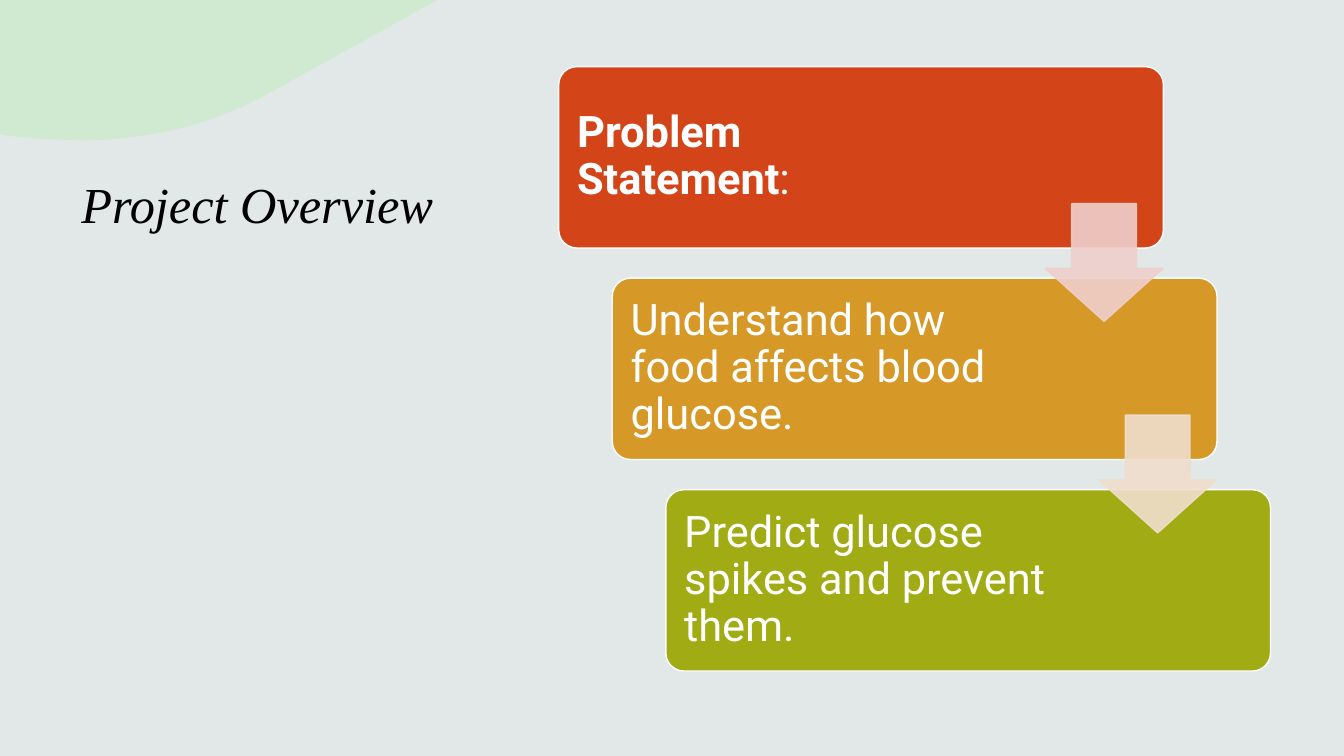
from dataclasses import dataclass

from lxml import etree
from pptx import Presentation
from pptx import util as u
from pptx.dml.color import RGBColor
from pptx.dml.fill import FillFormat
from pptx.enum import shapes, text
from pptx.oxml.ns import qn
from pptx.shapes.autoshape import Shape
from pptx.slide import Slide

BACKGROUND = RGBColor(0xE2, 0xE8, 0xE7)
LEAF = RGBColor(0x9E, 0xF3, 0x94)
RED = RGBColor(0xD3, 0x44, 0x19)
AMBER = RGBColor(0xD6, 0x99, 0x28)
OLIVE = RGBColor(0xA1, 0xAB, 0x14)
PALE_RED = RGBColor(0xEF, 0xCF, 0xCC)
PALE_AMBER = RGBColor(0xF0, 0xDE, 0xCD)
WHITE = RGBColor(0xFF, 0xFF, 0xFF)
BLACK = RGBColor(0, 0, 0)

STEP_X, STEP_Y = 1.35, 5.33
STAGE_LEFT, STAGE_TOP = 14.08, 1.68
STAGE_WIDTH, STAGE_HEIGHT = 15.24, 4.57
ARROW_LEFT, ARROW_TOP, ARROW_SIZE = 26.34, 5.13, 2.97
CURVE_STEPS = 24

Point = tuple[float, float]


@dataclass(frozen=True)
class Stage:
    bold: str
    plain: str
    fill: RGBColor
    right_inset: float


STAGES = [
    Stage("Problem Statement", ":", RED, 5.0),
    Stage("", "Understand how food affects blood glucose.", AMBER, 4.67),
    Stage("", "Predict glucose spikes and prevent them.", OLIVE, 4.67),
]
ARROW_COLOURS = [PALE_RED, PALE_AMBER]

LEAF_OUTLINE: list[Point] = [(0, 3.38), (0, 0), (11.05, 0), (10.97, 0.03)]
LEAF_CURVES: list[tuple[Point, Point, Point]] = [
    ((9.58, 0.81), (8.13, 1.6), (6.81, 2.34)),
    ((5.89, 2.84), (4.95, 3.18), (4.01, 3.35)),
    ((3.3, 3.48), (2.59, 3.56), (1.88, 3.53)),
    ((1.35, 3.53), (0.79, 3.48), (0.25, 3.43)),
]


def set_solid(fill: FillFormat, colour: RGBColor) -> None:
    fill.solid()
    fill.fore_color.rgb = colour


def set_opacity(shape: Shape, percent: int) -> None:
    for colour in shape._element.spPr.iter(qn("a:srgbClr")):
        etree.SubElement(colour, qn("a:alpha")).set("val", str(percent * 1000))


def curve_points(start: Point, first: Point, second: Point, end: Point) -> list[Point]:
    points = []
    for step in range(1, CURVE_STEPS + 1):
        t = step / CURVE_STEPS
        weights = ((1 - t) ** 3, 3 * t * (1 - t) ** 2, 3 * t**2 * (1 - t), t**3)
        corners = (start, first, second, end)
        x, y = (sum(w * c[axis] for w, c in zip(weights, corners)) for axis in (0, 1))
        points.append((x, y))
    return points


def draw_leaf(slide: Slide) -> None:
    outline = list(LEAF_OUTLINE)
    for curve in LEAF_CURVES:
        outline += curve_points(outline[-1], *curve)
    corners = [(u.Cm(x), u.Cm(y)) for x, y in outline]
    builder = slide.shapes.build_freeform(*corners[0])
    builder.add_line_segments(corners[1:], close=True)
    leaf = builder.convert_to_shape()
    leaf.shadow.inherit = False
    set_solid(leaf.fill, LEAF)
    leaf.line.fill.background()
    set_opacity(leaf, 25)


def draw_heading(slide: Slide) -> None:
    heading = slide.shapes.add_textbox(u.Cm(1.8), u.Cm(4.24), u.Cm(12.29), u.Cm(12.62))
    heading.text_frame.word_wrap = True
    paragraph = heading.text_frame.paragraphs[0]
    paragraph.text = "Project Overview"
    paragraph.font.name = "Times New Roman"
    paragraph.font.size = u.Pt(36)
    paragraph.font.italic = True
    paragraph.font.color.rgb = BLACK


def draw_stage(slide: Slide, stage: Stage, index: int) -> None:
    box = slide.shapes.add_shape(
        shapes.MSO_SHAPE.ROUNDED_RECTANGLE,
        u.Cm(STAGE_LEFT + index * STEP_X), u.Cm(STAGE_TOP + index * STEP_Y),
        u.Cm(STAGE_WIDTH), u.Cm(STAGE_HEIGHT),
    )
    box.adjustments[0] = 0.1
    box.shadow.inherit = False
    set_solid(box.fill, stage.fill)
    box.line.color.rgb = WHITE
    box.line.width = u.Pt(1)

    frame = box.text_frame
    frame.word_wrap = True
    frame.vertical_anchor = text.MSO_ANCHOR.MIDDLE
    frame.margin_left = u.Cm(0.33)
    frame.margin_right = u.Cm(stage.right_inset)
    paragraph = frame.paragraphs[0]
    paragraph.alignment = text.PP_ALIGN.LEFT
    paragraph.line_spacing = 0.9
    paragraph.font.name = "Roboto"
    paragraph.font.size = u.Pt(31)
    paragraph.font.color.rgb = WHITE
    if stage.bold:
        lead = paragraph.add_run()
        lead.text = stage.bold
        lead.font.bold = True
    paragraph.add_run().text = stage.plain


def draw_arrow(slide: Slide, colour: RGBColor, index: int) -> None:
    arrow = slide.shapes.add_shape(
        shapes.MSO_SHAPE.DOWN_ARROW,
        u.Cm(ARROW_LEFT + index * STEP_X), u.Cm(ARROW_TOP + index * STEP_Y),
        u.Cm(ARROW_SIZE), u.Cm(ARROW_SIZE),
    )
    arrow.adjustments[0] = 0.55
    arrow.adjustments[1] = 0.45
    arrow.shadow.inherit = False
    set_solid(arrow.fill, colour)
    arrow.line.color.rgb = colour
    arrow.line.width = u.Pt(1)
    set_opacity(arrow, 90)


def main() -> None:
    deck = Presentation()
    deck.slide_width, deck.slide_height = u.Cm(33.87), u.Cm(19.05)
    slide = deck.slides.add_slide(deck.slide_layouts[6])
    set_solid(slide.background.fill, BACKGROUND)
    draw_heading(slide)
    draw_leaf(slide)
    for index, stage in enumerate(STAGES):
        draw_stage(slide, stage, index)
    for index, colour in enumerate(ARROW_COLOURS):
        draw_arrow(slide, colour, index)
    deck.save("out.pptx")


if __name__ == "__main__":
    main()
